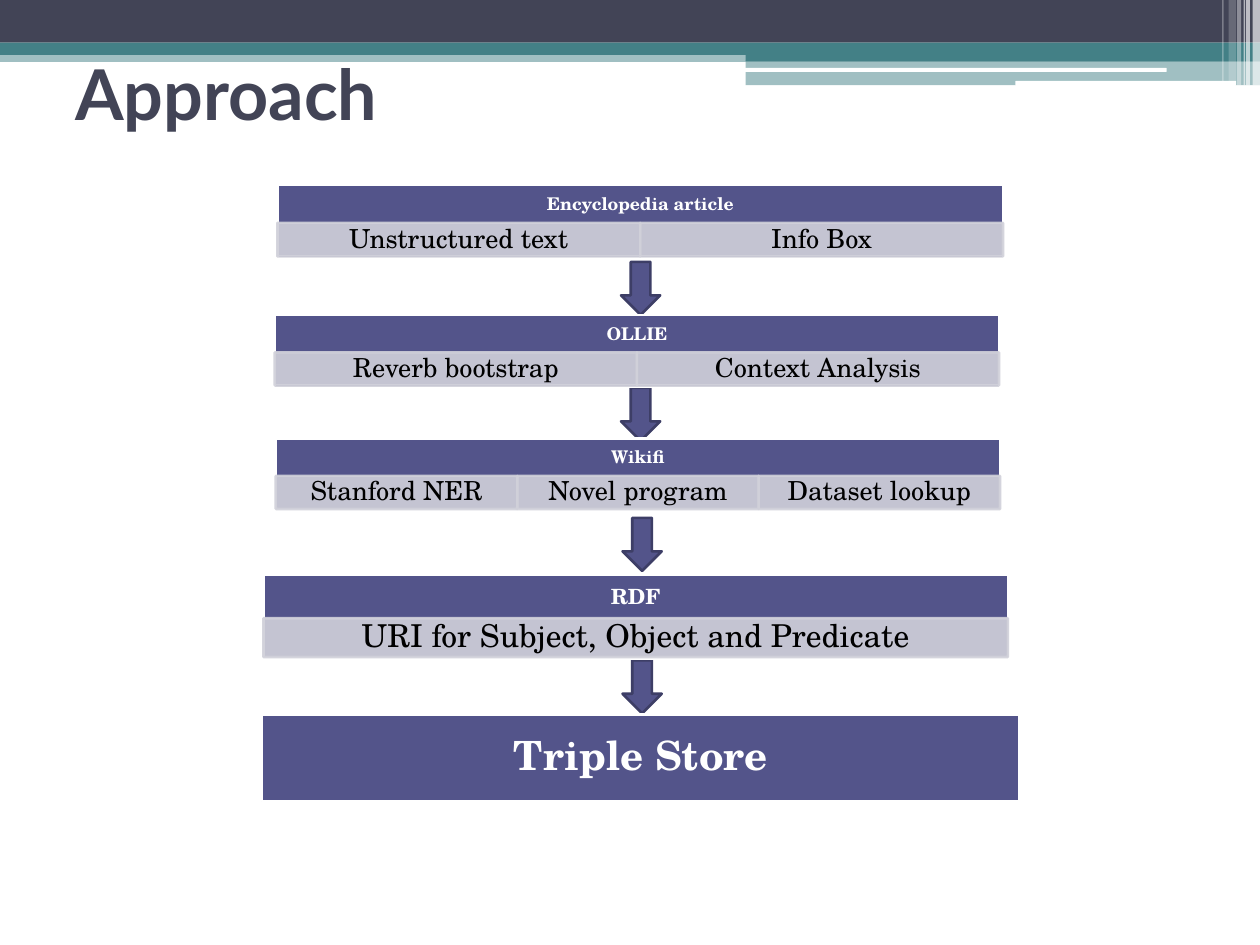
"""Build the Approach slide: a pipeline from article to triple store."""
from lxml.etree import SubElement
from pptx import Presentation
from pptx.dml.color import RGBColor
from pptx.enum.shapes import MSO_SHAPE
from pptx.enum.text import MSO_ANCHOR, PP_ALIGN
from pptx.oxml.ns import qn
from pptx.util import Cm, Pt


def draw(kind, box, color, opacity=100, edge=None):
    part = slide.shapes.add_shape(kind, *[Cm(length) for length in box])
    part.shadow.inherit = False
    part.fill.solid()
    part.fill.fore_color.rgb = RGBColor.from_string(color)
    if edge:
        part.line.width = Pt(1.5)
        part.line.fill.solid()
        part.line.fill.fore_color.rgb = RGBColor.from_string(edge)
    else:
        part.line.fill.background()
    if opacity < 100:
        for tint in part._element.spPr.iter(qn("a:srgbClr")):
            SubElement(tint, qn("a:alpha"), val=str(opacity * 1000))
    return part


def write(part, words, color, frame_format, paragraph_format, font_format):
    frame = part.text_frame
    paragraph = frame.paragraphs[0]
    run = paragraph.add_run()
    run.text = words
    run.font.color.rgb = RGBColor.from_string(color)
    for target, values in (
        (frame, frame_format),
        (paragraph, paragraph_format),
        (run.font, font_format),
    ):
        for name, value in values.items():
            setattr(target, name, value)


SLATE, TEAL, INDIGO, NAVY = "424456", "438086", "53548A", "3D3E66"
LILAC, WHITE, BLACK = "D1D1DA", "FFFFFF", "000000"
SERIF = "TeX Gyre Schola"
CENTERED = {"alignment": PP_ALIGN.CENTER, "line_spacing": 0.9}

deck = Presentation()
deck.slide_width, deck.slide_height = Cm(25.4), Cm(19.05)
slide = deck.slides.add_slide(deck.slide_layouts[6])

for box, color, opacity in [
    ((0, 1.02, 25.4, 0.23), TEAL, 50),
    ((0, 0, 25.4, 0.86), SLATE, 100),
    ((0, 0.86, 25.4, 0.25), TEAL, 100),
    ((15.03, 0.98, 10.37, 0.25), TEAL, 100),
    ((15.03, 1.22, 10.37, 0.5), TEAL, 50),
]:
    draw(MSO_SHAPE.RECTANGLE, box, color, opacity)

for box in [(15.01, 1.37, 8.51, 0.08), (20.47, 1.63, 4.45, 0.1)]:
    draw(MSO_SHAPE.ROUNDED_RECTANGLE, box, WHITE)

for left, width, height, opacity in [
    (25.25, 0.15, 1.73, 65),
    (25.12, 0.08, 1.73, 65),
    (25.07, 0.03, 1.73, 60),
    (24.94, 0.08, 1.73, 40),
    (24.77, 0.15, 1.63, 20),
    (24.64, 0.03, 1.63, 30),
]:
    draw(MSO_SHAPE.RECTANGLE, (left, 0, width, height), WHITE, opacity)

title = slide.shapes.add_textbox(Cm(1.27), Cm(0.76), Cm(22.86), Cm(2.21))
write(
    title, "Approach", SLATE,
    {"word_wrap": True, "vertical_anchor": MSO_ANCHOR.MIDDLE},
    {"alignment": PP_ALIGN.LEFT},
    {"name": "Lato", "size": Pt(40), "bold": True},
)

for left, top in [(12.52, 5.28), (12.52, 7.82), (12.55, 10.44), (12.55, 13.31)]:
    draw(MSO_SHAPE.DOWN_ARROW, (left, top, 0.79, 1.07), INDIGO, edge=NAVY)

stages = [
    ((5.59, 3.73, 14.63, 1.47), "Encyclopedia article", 10, 15,
     ["Unstructured text", "Info Box"]),
    ((5.54, 6.35, 14.6, 1.45), "OLLIE", 10, 15,
     ["Reverb bootstrap", "Context Analysis"]),
    ((5.56, 8.84, 14.6, 1.45), "Wikifi", 10, 15,
     ["Stanford NER", "Novel program", "Dataset lookup"]),
    ((5.31, 11.58, 15.01, 1.7), "RDF", 12, 18,
     ["URI for Subject, Object and Predicate"]),
    ((5.28, 14.4, 15.27, 1.75), "Triple Store", 23, 0, []),
]
for box, heading, heading_size, step_size, steps in stages:
    left, top, width, height = box
    stage = draw(MSO_SHAPE.RECTANGLE, box, INDIGO, edge=WHITE)
    below_heading = 0.46 * height if steps else 0
    write(
        stage, heading, WHITE,
        {"word_wrap": True, "vertical_anchor": MSO_ANCHOR.MIDDLE,
         "margin_top": 0, "margin_bottom": Cm(below_heading)},
        CENTERED,
        {"name": SERIF, "size": Pt(heading_size), "bold": True},
    )
    for index, step in enumerate(steps):
        step_width = width / len(steps)
        step_box = (left + index * step_width, top + 0.52 * height,
                    step_width, 0.46 * height)
        write(
            draw(MSO_SHAPE.RECTANGLE, step_box, LILAC, 90, LILAC), step, BLACK,
            {"word_wrap": True, "vertical_anchor": MSO_ANCHOR.MIDDLE,
             "margin_top": Cm(0.05), "margin_bottom": Cm(0.05)},
            CENTERED,
            {"name": SERIF, "size": Pt(step_size), "bold": False},
        )

deck.save("out.pptx")
